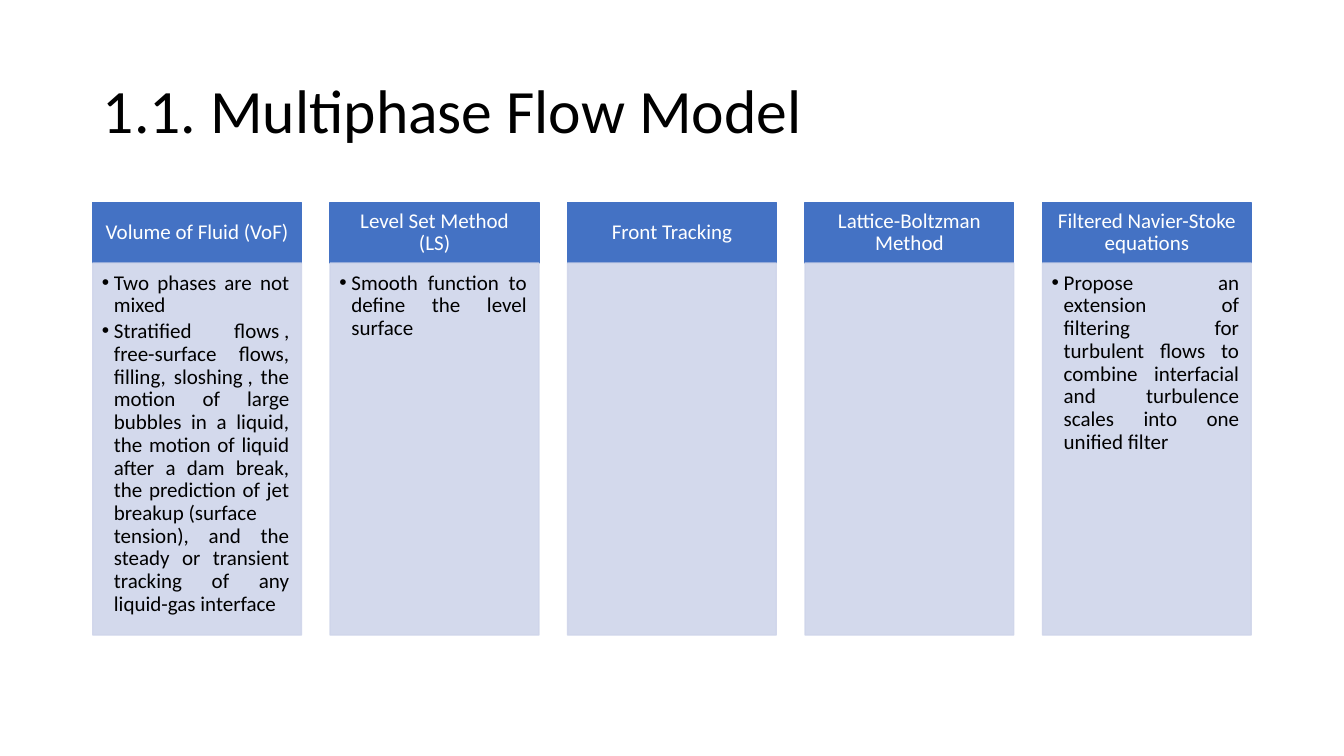
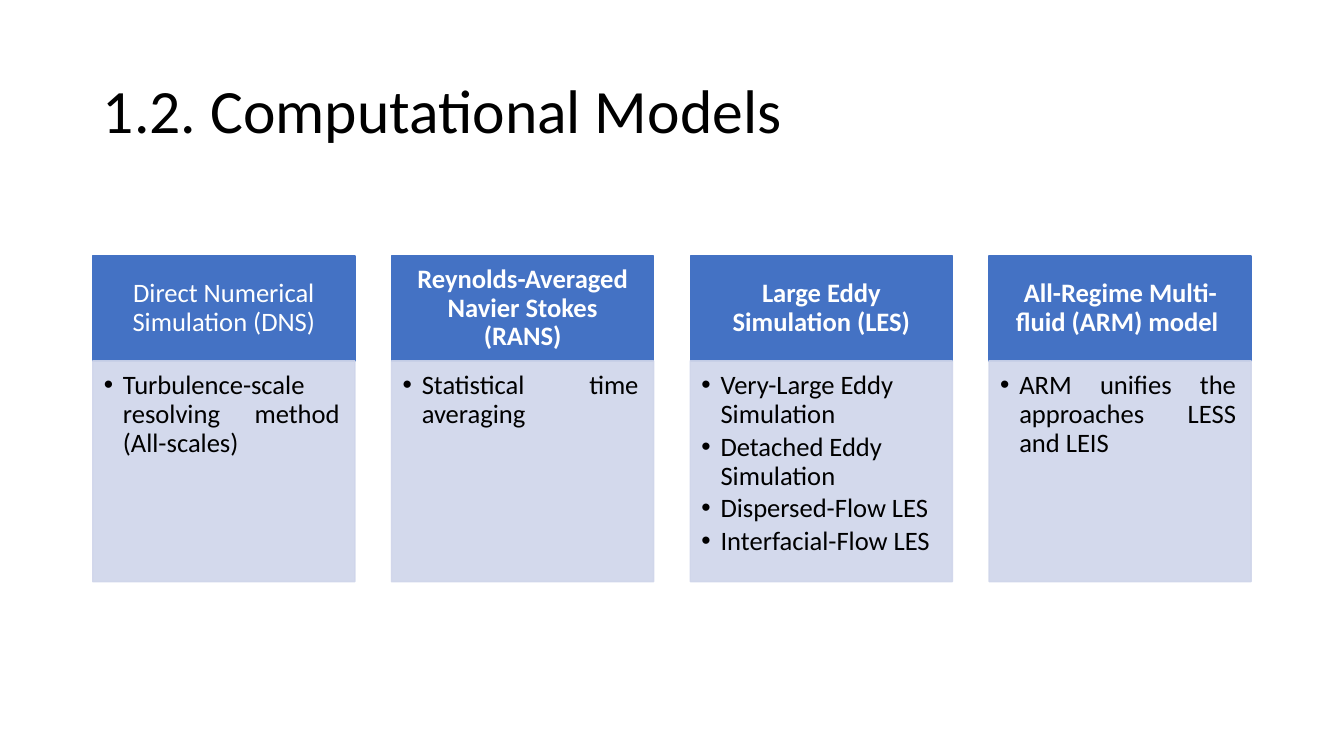
"""Builds two slides of titled column lists."""
from lxml import etree
from pptx import Presentation
from pptx.dml.color import RGBColor
from pptx.enum.shapes import MSO_SHAPE
from pptx.enum.text import MSO_ANCHOR, MSO_AUTO_SIZE, PP_ALIGN
from pptx.oxml.ns import qn
from pptx.util import Inches, Pt

RECT = MSO_SHAPE.RECTANGLE
TOP, MIDDLE = MSO_ANCHOR.TOP, MSO_ANCHOR.MIDDLE
LEFT, CENTER, JUSTIFY = PP_ALIGN.LEFT, PP_ALIGN.CENTER, PP_ALIGN.JUSTIFY
NO_FIT = MSO_AUTO_SIZE.NONE

FONT = "Calibri"
BLUE, PALE, BLACK, WHITE = "4472C4", "CFD5EA", "000000", "FFFFFF"
EDGE, SPAN = 0.92, 11.49


def color(code):
    return RGBColor.from_string(code)


class Deck:
    """Holds the shared style and the current slide."""

    def __init__(self):
        self.prs = Presentation()
        self.prs.slide_width = Inches(13.33)
        self.prs.slide_height = Inches(7.5)
        self.slide = None

    def start(self, title):
        self.slide = self.prs.slides.add_slide(self.prs.slide_layouts[5])
        shape = self.slide.shapes.title
        shape.left, shape.top = Inches(EDGE), Inches(0.4)
        shape.width, shape.height = Inches(11.5), Inches(1.45)
        self.frame(shape, MIDDLE, (0.1, 0.05, 0.1, 0.05))
        self.label(shape.text_frame.paragraphs[0], title, 44, BLACK, LEFT)

    def frame(self, shape, anchor, pads):
        frame = shape.text_frame
        frame.word_wrap = True
        frame.auto_size = NO_FIT
        frame.vertical_anchor = anchor
        (frame.margin_left, frame.margin_top,
         frame.margin_right, frame.margin_bottom) = map(Inches, pads)

    def label(self, para, text, size, ink, align, bold=False):
        para.alignment = align
        para.line_spacing = 0.9
        run = para.add_run()
        run.text = text
        run.font.name = FONT
        run.font.size = Pt(size)
        run.font.bold = bold
        run.font.color.rgb = color(ink)

    def box(self, left, top, width, height, fill, alpha=100):
        shape = self.slide.shapes.add_shape(
            RECT, Inches(left), Inches(top), Inches(width), Inches(height))
        shape.shadow.inherit = False
        shape.fill.solid()
        shape.fill.fore_color.rgb = color(fill)
        shape.line.color.rgb = color(fill)
        shape.line.width = Pt(1)
        if alpha < 100:
            for tint in shape.element.iter(qn("a:srgbClr")):
                etree.SubElement(tint, qn("a:alpha"), val=str(alpha * 1000))
        return shape

    def head(self, place, text, size, pads, bold):
        shape = self.box(*place, BLUE)
        self.frame(shape, MIDDLE, pads)
        para = shape.text_frame.paragraphs[0]
        self.label(para, text, size, WHITE, CENTER, bold)

    def body(self, place, items, size, pads, indent, align):
        shape = self.box(*place, PALE, 90)
        self.frame(shape, TOP, pads)
        for i, item in enumerate(items):
            frame = shape.text_frame
            para = frame.add_paragraph() if i else frame.paragraphs[0]
            self.label(para, item, size, BLACK, align)
            para.level = 1
            para.space_after = Pt(size * 0.15)
            props = para._p.get_or_add_pPr()
            props.set("marL", str(Inches(indent)))
            props.set("indent", str(-Inches(indent)))
            etree.SubElement(props, qn("a:buFont"), typeface="Arial")
            etree.SubElement(props, qn("a:buChar"), char="•")

    def columns(self, cols, top, width, split, depth, size, pads, indent):
        step = (SPAN - width) / (len(cols) - 1)
        for i, (name, bold, align, items) in enumerate(cols):
            left = EDGE + i * step
            self.head((left, top, width, split), name, size, pads[0], bold)
            self.body((left, top + split, width, depth), items, size,
                      pads[1], indent, align)


FLOW = [
    ("Volume of Fluid (VoF)", False, JUSTIFY, [
        "Two phases are not mixed",
        "Stratified flows\u00a0, free-surface flows, filling, sloshing\u00a0, "
        "the motion of large bubbles in a liquid, the motion of liquid after "
        "a dam break, the prediction of jet breakup\u00a0(surface tension), "
        "and the steady or transient tracking of any liquid-gas interface"]),
    ("Level Set Method (LS)", False, JUSTIFY, [
        "Smooth function to define the level surface"]),
    ("Front Tracking", False, JUSTIFY, []),
    ("Lattice-Boltzman Method", False, JUSTIFY, []),
    ("Filtered Navier-Stoke equations", False, JUSTIFY, [
        "Propose an extension of filtering for turbulent flows to combine "
        "interfacial and turbulence scales into one unified filter "]),
]
MODELS = [
    ("Direct Numerical Simulation (DNS)", False, JUSTIFY, [
        "Turbulence-scale resolving method (All-scales)"]),
    ("Reynolds-Averaged Navier Stokes (RANS)", True, JUSTIFY, [
        "Statistical time averaging"]),
    ("Large Eddy Simulation (LES)", True, LEFT, [
        "Very-Large Eddy Simulation", "Detached Eddy Simulation",
        "Dispersed-Flow LES", "Interfacial-Flow LES"]),
    ("All-Regime Multi-fluid (ARM) model ", True, JUSTIFY, [
        "ARM unifies the approaches LESS and LEIS"]),
]

deck = Deck()
deck.start("1.1. Multiphase Flow Model")
deck.columns(FLOW, top=2.01, width=2.07, split=0.6, depth=3.69, size=15,
             pads=((0.12, 0.07, 0.12, 0.07), (0.09, 0.09, 0.12, 0.13)),
             indent=0.12)
deck.start("1.2. Computational Models")
deck.columns(MODELS, top=2.54, width=2.6, split=1.04, depth=2.19, size=19,
             pads=((0.15, 0.08, 0.15, 0.08), (0.11, 0.11, 0.15, 0.17)),
             indent=0.19)
deck.prs.save("out.pptx")
